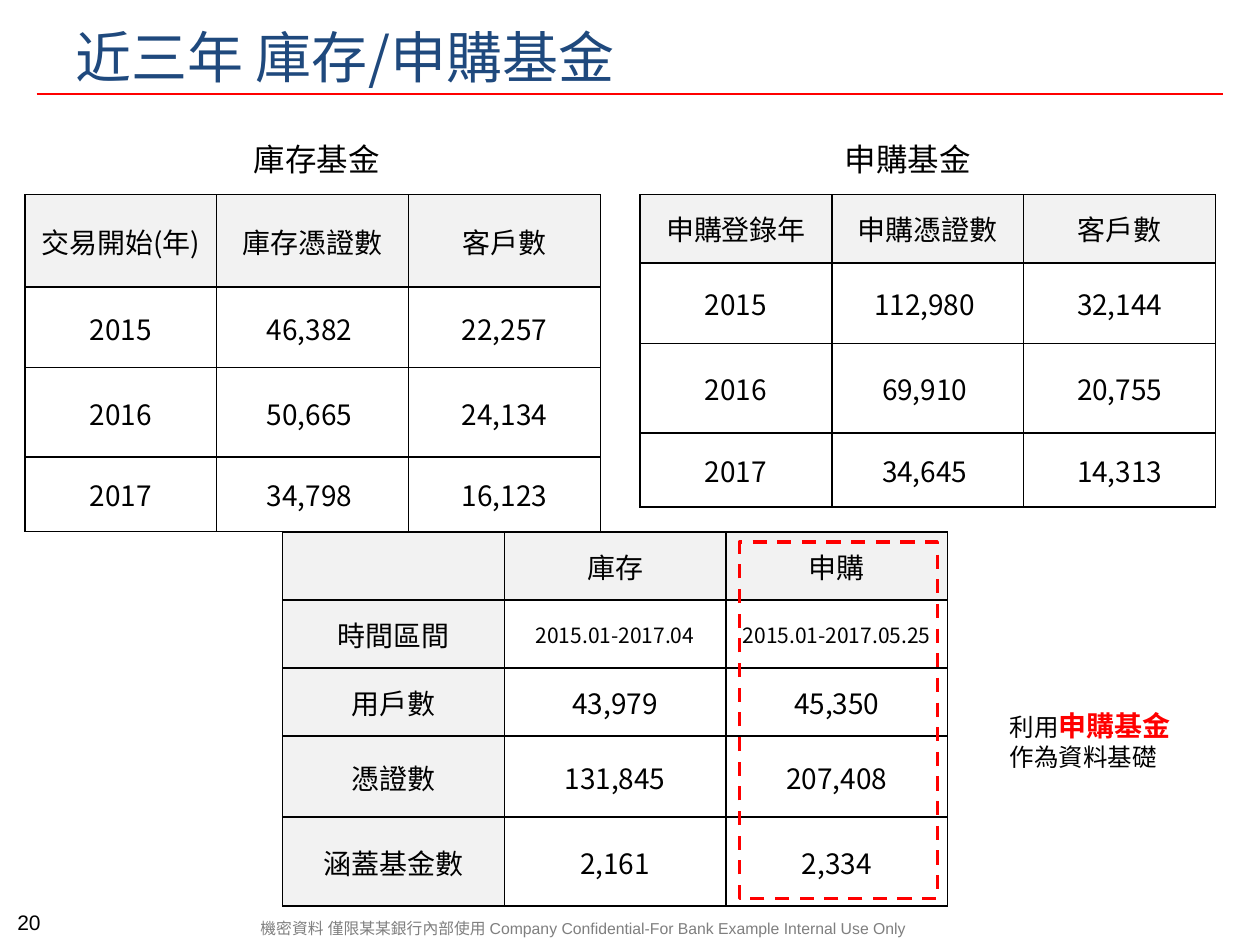
from lxml.etree import SubElement
from pptx import Presentation
from pptx.dml.color import RGBColor
from pptx.enum.dml import MSO_LINE_DASH_STYLE as DASH
from pptx.enum.shapes import MSO_CONNECTOR, MSO_SHAPE
from pptx.enum.text import MSO_ANCHOR as ANCHOR, PP_ALIGN as ALIGN
from pptx.oxml.ns import qn
from pptx.util import Pt

COLOURS = {"title": "1F497D", "text": "000000", "footer": "7F7F7F",
           "red": "FF0000", "head": "F2F2F2", "border": "000000"}
CJK = "Noto Sans CJK SC"
ROW, TWO_LINE_ROW = 38.9, 52.7
TALL_ROW, TALLEST_ROW, LAST_ROW = 46.1, 51.1, 42.5


def colour(name):
    return RGBColor.from_string(COLOURS[name])


def add_span(para, text, size=16, ink="text", font=CJK, bold=False):
    span = para.add_run()
    span.text = text
    span.font.size, span.font.name, span.font.bold = Pt(size), font, bold
    span.font.color.rgb = colour(ink)
    SubElement(span.font._element, qn("a:ea"), typeface=font)


def add_text(page, text, box, align=ALIGN.LEFT, anchor=ANCHOR.TOP, spacing=None, **style):
    frame = page.shapes.add_textbox(*map(Pt, box)).text_frame
    frame.word_wrap = True
    frame.vertical_anchor = anchor
    para = frame.paragraphs[0]
    para.alignment = align
    if spacing:
        para.line_spacing = Pt(spacing)
    add_span(para, text, **style)
    return para


def set_borders(cell):
    props = cell._tc.get_or_add_tcPr()
    for place, side in enumerate(("lnL", "lnR", "lnT", "lnB")):
        line = SubElement(props, qn(f"a:{side}"), w=str(Pt(1)))
        fill = SubElement(line, qn("a:solidFill"))
        SubElement(fill, qn("a:srgbClr"), val=COLOURS["border"])
        props.insert(place, line)


def add_grid(page, rows, box, heights, is_head, is_tight, size_of=lambda r, c: 16):
    """Draw a table; the three rules take row and column numbers."""
    left, top, width = box
    count = len(rows[0])
    table = page.shapes.add_table(len(rows), count, Pt(left), Pt(top),
                                  Pt(width), Pt(sum(heights))).table
    for column in table.columns:
        column.width = Pt(width / count)
    for r, values in enumerate(rows):
        table.rows[r].height = Pt(heights[r])
        for c, value in enumerate(values):
            cell = table.cell(r, c)
            cell.vertical_anchor = ANCHOR.MIDDLE
            if is_tight(r, c):
                cell.margin_left = cell.margin_right = cell.margin_top = Pt(0.7)
                cell.margin_bottom = 0
            if is_head(r, c):
                cell.fill.solid()
                cell.fill.fore_color.rgb = colour("head")
            else:
                cell.fill.background()
            set_borders(cell)
            para = cell.text_frame.paragraphs[0]
            para.alignment = ALIGN.CENTER
            if value:
                add_span(para, value, size=size_of(r, c))


def add_frame(page):
    """Title, rule, footer and page number."""
    add_text(page, "機密資料 僅限某某銀行內部使用 Company Confidential-For Bank Example Internal Use Only",
             (141.8, 522, 410.4, 17.3), anchor=ANCHOR.MIDDLE, spacing=10,
             size=9, ink="footer", font="Arial")
    rule = page.shapes.add_connector(MSO_CONNECTOR.STRAIGHT, Pt(21), Pt(53.8), Pt(699), Pt(53.8))
    rule.line.color.rgb = colour("red")
    rule.line.width = Pt(1.25)
    SubElement(rule._element.spPr, qn("a:effectLst"))
    add_text(page, "20", (0.7, 519.8, 31.7, 18), align=ALIGN.CENTER,
             anchor=ANCHOR.BOTTOM, spacing=10.2, size=12, font="Arial")
    add_text(page, "近三年 庫存/申購基金", (36, 9.4, 648, 41.8), size=32, ink="title")


def add_yearly(page, caption, rows, box, caption_indent, head_height):
    left, top, width = box
    add_text(page, caption, (left + caption_indent, top - 35, 130.3, 28.8),
             align=ALIGN.CENTER, size=18)
    add_grid(page, rows, box, (head_height, TALL_ROW, TALLEST_ROW, LAST_ROW),
             is_head=lambda r, c: r == 0, is_tight=lambda r, c: r > 0)


def add_summary(page, box):
    left, top, width = box
    rows = [("", "庫存", "申購"),
            ("時間區間", "2015.01-2017.04", "2015.01-2017.05.25"),
            ("用戶數", "43,979", "45,350"),
            ("憑證數", "131,845", "207,408"),
            ("涵蓋基金數", "2,161", "2,334")]
    heights = (ROW, ROW, ROW, TALL_ROW, TALLEST_ROW)
    add_grid(page, rows, box, heights,
             is_head=lambda r, c: r == 0 or c == 0,
             is_tight=lambda r, c: r > 2 or (r > 0 and c == 2),
             size_of=lambda r, c: 12 if r == 1 and c > 0 else 16)
    marker = page.shapes.add_shape(MSO_SHAPE.RECTANGLE, Pt(left + width * 2 / 3 + 7.8),
                                   Pt(top + 5.8), Pt(113), Pt(203.8))
    marker.shadow.inherit = False
    marker.fill.background()
    marker.line.color.rgb = colour("red")
    marker.line.width = Pt(2)
    marker.line.dash_style = DASH.DASH


def add_conclusion(page, box):
    para = add_text(page, "利用", box, size=14)
    add_span(para, "申購基金", ink="red", bold=True)
    para.add_line_break()
    add_span(para, "作為資料基礎", size=14)


def main():
    deck = Presentation()
    deck.slide_width, deck.slide_height = Pt(720), Pt(540)
    page = deck.slides.add_slide(deck.slide_layouts[6])
    add_frame(page)
    add_yearly(page, "庫存基金",
               [("交易開始(年)", "庫存憑證數", "客戶數"),
                ("2015", "46,382 ", "22,257"),
                ("2016", "50,665 ", "24,134"),
                ("2017", "34,798 ", "16,123")],
               (14.2, 111.3, 329), caption_indent=101.7, head_height=TWO_LINE_ROW)
    add_yearly(page, "申購基金",
               [("申購登錄年", "申購憑證數", "客戶數"),
                ("2015", "112,980 ", "32,144"),
                ("2016", "69,910 ", "20,755"),
                ("2017", "34,645 ", "14,313")],
               (365.7, 111.3, 329), caption_indent=87.9, head_height=ROW)
    add_summary(page, (161.5, 304, 380))
    add_conclusion(page, (569.8, 401.2, 127.4, 43.9))
    deck.save("out.pptx")


if __name__ == "__main__":
    main()
